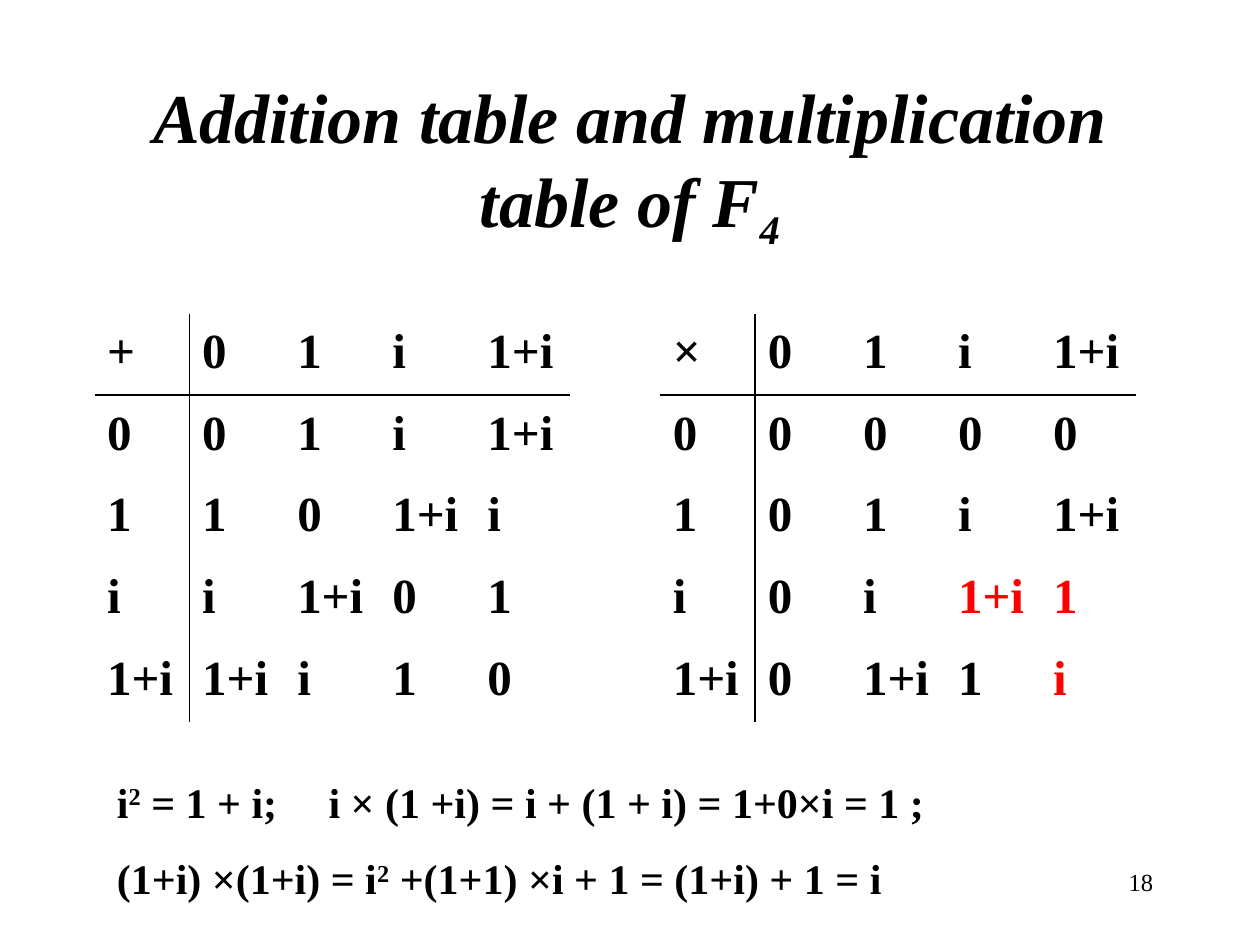
from lxml import etree
from pptx import Presentation
from pptx.dml import color
from pptx.enum import shapes, text
from pptx.oxml import ns
from pptx.util import Inches, Pt

FONT = "Times New Roman"
BLACK, RED = "000000", "FF0000"
NO_STYLE = "{2D5ABB26-0587-4C30-8999-92F81FD0307C}"
TABLE_TOP, COL_W, ROW_H = 2.49, 0.755, 0.648
HEADS = ["0", "1", "i", "1+i"]
ADDITION = [["0", "1", "i", "1+i"], ["1", "0", "1+i", "i"],
            ["i", "1+i", "0", "1"], ["1+i", "i", "1", "0"]]
PRODUCTS = [["0", "0", "0", "0"], ["0", "1", "i", "1+i"],
            ["0", "i", "1+i", "1"], ["0", "1+i", "1", "i"]]
WORKED_PRODUCTS = {(3, 3), (3, 4), (4, 4)}


def rgb(value):
    return color.RGBColor.from_string(value)


def add_run(p, words, size, fill=BLACK, bold=True, italic=False, baseline=0):
    r = p.add_run()
    r.text = words
    r.font.name, r.font.size = FONT, Pt(size)
    r.font.bold, r.font.italic = bold, italic
    r.font.color.rgb = rgb(fill)
    if baseline:
        r.font._element.set("baseline", str(baseline * 1000))


def add_text_box(slide, left, top, width, height):
    tf = slide.shapes.add_textbox(Inches(left), Inches(top), Inches(width), Inches(height)).text_frame
    tf.word_wrap = True
    return tf


def add_rule(slide, x1, y1, x2, y2):
    sp = slide.shapes.add_connector(shapes.MSO_CONNECTOR.STRAIGHT,
                                    Inches(x1), Inches(y1), Inches(x2), Inches(y2))
    sp.line.color.rgb = rgb(BLACK)
    sp.line.width = Pt(1)
    etree.SubElement(sp._element.spPr, ns.qn("a:effectLst"))


def add_operation_table(slide, left, symbol, results, highlights=()):
    rows = [[symbol] + HEADS] + [[head] + line for head, line in zip(HEADS, results)]
    size = len(rows)
    width, height = COL_W * size, ROW_H * size
    table = slide.shapes.add_table(size, size, Inches(left), Inches(TABLE_TOP),
                                   Inches(width), Inches(height)).table
    table.first_row = table.horz_banding = False
    table._tbl.tblPr.find(ns.qn("a:tableStyleId")).text = NO_STYLE
    for i, values in enumerate(rows):
        table.rows[i].height = Inches(ROW_H)
        table.columns[i].width = Inches(COL_W)
        for j, value in enumerate(values):
            cell = table.cell(i, j)
            cell.fill.background()
            cell.margin_top, cell.margin_bottom = Inches(0.09), 0
            p = cell.text_frame.paragraphs[0]
            p.space_before = Pt(7)
            add_run(p, value, 28, fill=RED if (i, j) in highlights else BLACK)
    add_rule(slide, left, TABLE_TOP + ROW_H, left + width, TABLE_TOP + ROW_H)
    add_rule(slide, left + COL_W, TABLE_TOP, left + COL_W, TABLE_TOP + height)


def add_title(slide):
    sp = slide.shapes.title
    sp.left, sp.top, sp.width, sp.height = Inches(0.75), Inches(0.67), Inches(8.5), Inches(1.25)
    tf = sp.text_frame
    tf.auto_size = text.MSO_AUTO_SIZE.NONE
    tf.vertical_anchor = text.MSO_ANCHOR.MIDDLE
    p = tf.paragraphs[0]
    p.alignment = text.PP_ALIGN.CENTER
    add_run(p, "Addition table and multiplication table of F", 40, italic=True)
    add_run(p, "4", 40, italic=True, baseline=-25)


def add_equation(p, before, after):
    p.space_before = Pt(15)
    add_run(p, before, 24)
    add_run(p, "2", 24, baseline=30)
    add_run(p, after, 24)


def add_equations(slide):
    tf = add_text_box(slide, 0.83, 6.11, 7.72, 1.11)
    p = tf.paragraphs[0]
    add_equation(p, "i", " = 1 + i;\ti × (1 +i) = i + (1 + i) = 1+0×i = 1 ;")
    tabs = etree.SubElement(p._p.get_or_add_pPr(), ns.qn("a:tabLst"))
    etree.SubElement(tabs, ns.qn("a:tab"), pos=str(Inches(1.68)), algn="l")
    add_equation(tf.add_paragraph(), "(1+i) ×(1+i) = i", " +(1+1) ×i + 1 = (1+i) + 1 = i")


def add_page_number(slide):
    p = add_text_box(slide, 7.17, 6.83, 2.08, 0.5).paragraphs[0]
    p.alignment = text.PP_ALIGN.RIGHT
    add_run(p, "18", 14, bold=False)


def main():
    prs = Presentation()
    prs.slide_width, prs.slide_height = Inches(10), Inches(7.5)
    slide = prs.slides.add_slide(prs.slide_layouts[5])
    add_page_number(slide)
    add_title(slide)
    add_operation_table(slide, 0.75, "+", ADDITION)
    add_operation_table(slide, 5.24, "×", PRODUCTS, WORKED_PRODUCTS)
    add_equations(slide)
    prs.save("out.pptx")


if __name__ == "__main__":
    main()
